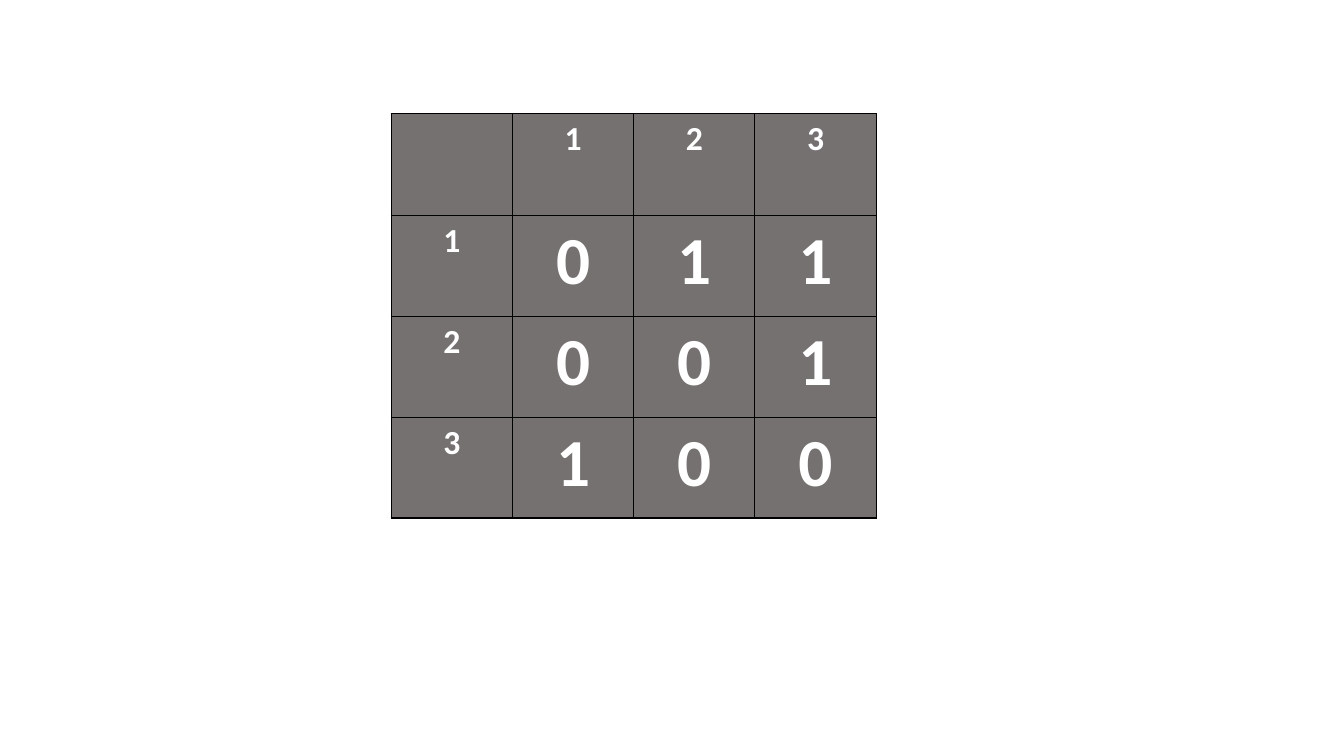
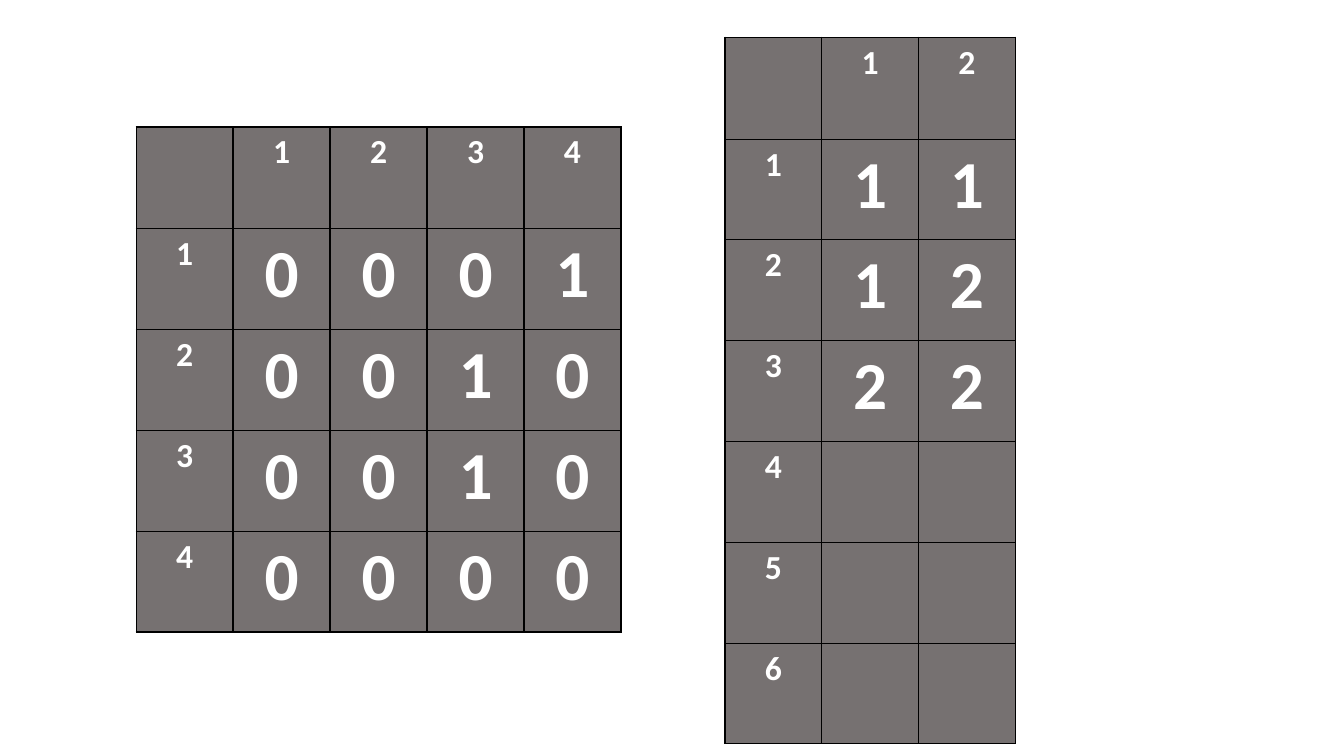
"""Build two slides of numbered matrices drawn as grey tables."""
from lxml import etree
from pptx import Presentation
from pptx.dml.color import RGBColor
from pptx.enum.text import PP_ALIGN
from pptx.oxml.ns import qn
from pptx.util import Inches, Pt

CENTER = PP_ALIGN.CENTER
COLORS = {"cell": "767171", "text": "FFFFFF", "border": "000000"}
FONT = "Calibri"
LABEL_SIZE, VALUE_SIZE = Pt(24), Pt(48)
HEADER_HEIGHT, ROW_HEIGHT = Inches(1.01), Inches(1)
BORDER_WIDTH = Pt(1)

SLIDES = [
    [
        {"left": 3.88, "top": 1.13, "width": 4.81, "values": ["011", "001", "100"]},
    ],
    [
        {"left": 1.35, "top": 1.26, "width": 4.81,
         "values": ["0001", "0010", "0010", "0000"]},
        {"left": 7.19, "top": 0.37, "width": 2.88,
         "values": ["11", "12", "22", ["", ""], ["", ""], ["", ""]]},
    ],
]


def style_cell(cell, text, size):
    """Give a cell its borders, fill and centred bold text."""
    properties = cell._tc.get_or_add_tcPr()
    for side in ("a:lnL", "a:lnR", "a:lnT", "a:lnB"):
        line = etree.SubElement(properties, qn(side), w=str(BORDER_WIDTH))
        line_fill = etree.SubElement(line, qn("a:solidFill"))
        etree.SubElement(line_fill, qn("a:srgbClr"), val=COLORS["border"])
    cell.fill.solid()
    cell.fill.fore_color.rgb = RGBColor.from_string(COLORS["cell"])
    cell.text_frame.text = text
    paragraph = cell.text_frame.paragraphs[0]
    paragraph.alignment = CENTER
    for run in paragraph.runs:
        run.font.name = FONT
        run.font.size = size
        run.font.bold = True
        run.font.color.rgb = RGBColor.from_string(COLORS["text"])


def add_matrix(slide, left, top, width, values):
    """Add a table with numbered row and column headings around the values."""
    headings = [""] + [str(number + 1) for number in range(len(values[0]))]
    grid = [headings] + [[str(number), *row] for number, row in enumerate(values, 1)]
    height = HEADER_HEIGHT + ROW_HEIGHT * len(values)
    frame = slide.shapes.add_table(
        len(grid), len(headings), Inches(left), Inches(top), Inches(width), height)
    table = frame.table
    for column in table.columns:
        column.width = Inches(width / len(headings))
    for row_index, texts in enumerate(grid):
        table.rows[row_index].height = ROW_HEIGHT if row_index else HEADER_HEIGHT
        for column_index, text in enumerate(texts):
            size = VALUE_SIZE if row_index and column_index else LABEL_SIZE
            style_cell(table.cell(row_index, column_index), text, size)


presentation = Presentation()
presentation.slide_width = Inches(13.33)
presentation.slide_height = Inches(7.5)
blank_layout = presentation.slide_layouts[6]

for matrices in SLIDES:
    slide = presentation.slides.add_slide(blank_layout)
    for matrix in matrices:
        add_matrix(slide, **matrix)

presentation.save("out.pptx")
